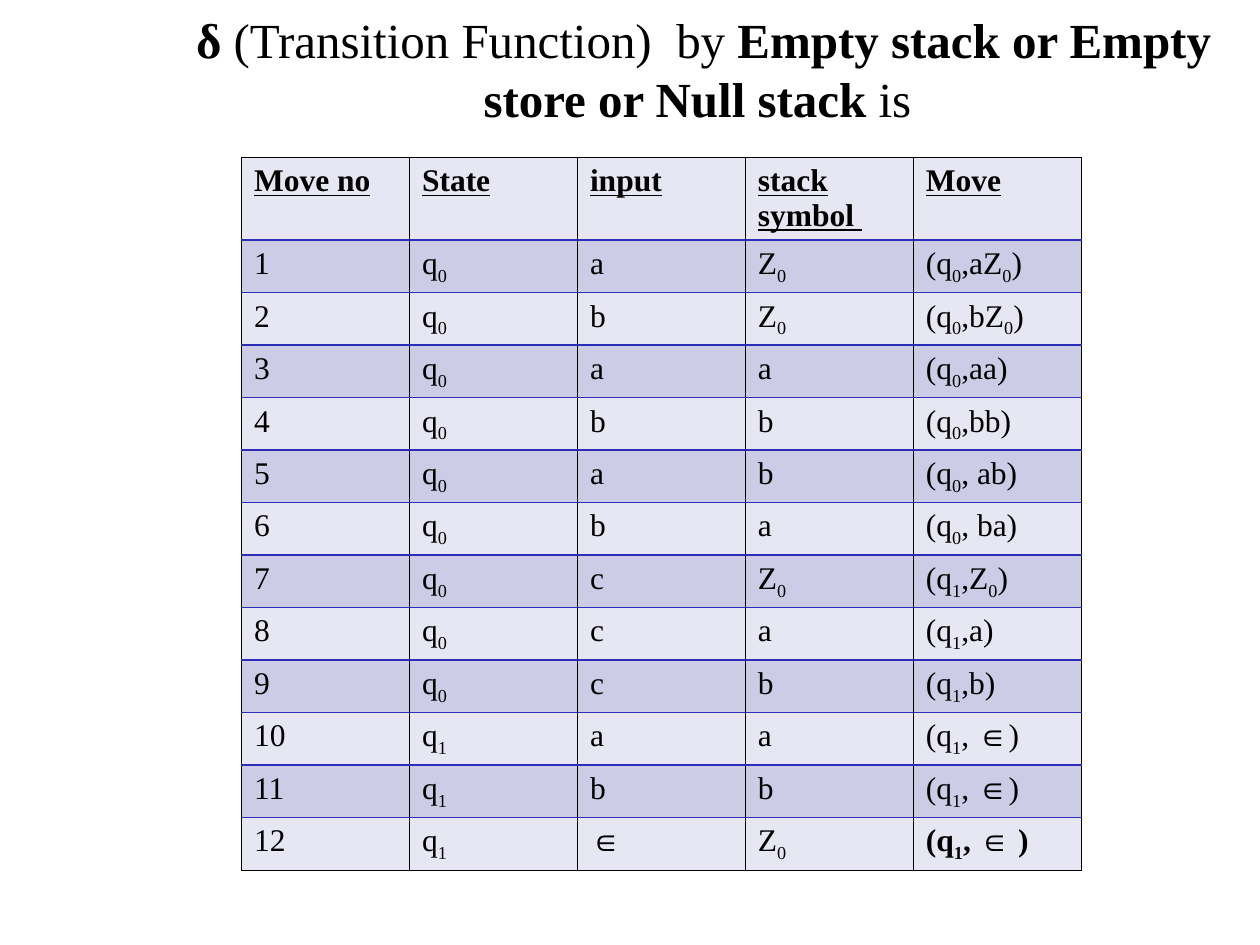
from pptx import Presentation
from pptx.dml.color import RGBColor
from pptx.enum.text import MSO_ANCHOR, MSO_AUTO_SIZE, PP_ALIGN
from pptx.oxml import parse_xml
from pptx.oxml.ns import nsdecls
from pptx.util import Pt

CENTER, MIDDLE, NO_FIT = PP_ALIGN.CENTER, MSO_ANCHOR.MIDDLE, MSO_AUTO_SIZE.NONE
PX = 9525  # EMU per px, 96 px to the inch


class Theme:
    font = "Times New Roman"
    title_size, cell_size = 28, 18
    text = RGBColor(0x00, 0x00, 0x00)
    light = RGBColor(0xE7, 0xE7, 0xF3)
    dark = RGBColor(0xCC, 0xCC, 0xE6)
    rule, edge = ("2D2DB9", 1), ("000000", 0.5)  # colour, points


def add_text(p, text, size=Theme.cell_size, underline=False):
    """Write text; *...* is bold and _x makes x a subscript."""
    for i, part in enumerate(text.split("*")):
        first, *rest = part.split("_")
        pieces = [(first, False)]
        for chunk in rest:
            pieces += [(chunk[0], True), (chunk[1:], False)]
        for piece, subscript in pieces:
            if not piece:
                continue
            r = p.add_run()
            r.text = piece
            r.font.name, r.font.size = Theme.font, Pt(size)
            r.font.color.rgb = Theme.text
            r.font.bold, r.font.underline = i % 2 == 1, underline
            if subscript:
                r.font._element.set("baseline", "-25000")


def set_borders(cell, **sides):
    tcPr = cell._tc.get_or_add_tcPr()
    for i, side in enumerate(("L", "R", "T", "B")):
        color, width = sides[side]
        tcPr.insert(i, parse_xml(
            f'<a:ln{side} {nsdecls("a")} w="{Pt(width)}"><a:solidFill>'
            f'<a:srgbClr val="{color}"/></a:solidFill></a:ln{side}>'))


prs = Presentation()
prs.slide_width, prs.slide_height = 960 * PX, 720 * PX
s = prs.slides.add_slide(prs.slide_layouts[5])

# Title
sp = s.shapes.title
sp.left, sp.top, sp.width, sp.height = 128 * PX, 16 * PX, 816 * PX, 72 * PX
tf = sp.text_frame
tf.word_wrap, tf.auto_size, tf.vertical_anchor = True, NO_FIT, MIDDLE
tf.paragraphs[0].alignment = CENTER
add_text(tf.paragraphs[0],
         "*δ* (Transition Function)  by *Empty stack or Empty store or Null stack *is ",
         size=Theme.title_size)

# Transition table: state, input, stack symbol, move
header = ["*Move no*", "*State*", "*input*", "*stack symbol *", "*Move*"]
moves = [
    ("q_0", "a", "Z_0", "(q_0,aZ_0)"),
    ("q_0", "b", "Z_0", "(q_0,bZ_0)"),
    ("q_0", "a", "a", "(q_0,aa)"),
    ("q_0", "b", "b", "(q_0,bb)"),
    ("q_0", "a", "b", "(q_0, ab)"),
    ("q_0", "b", "a", "(q_0, ba)"),
    ("q_0", "c", "Z_0", "(q_1,Z_0)"),
    ("q_0", "c", "a", "(q_1,a)"),
    ("q_0", "c", "b", "(q_1,b)"),
    ("q_1", "a", "a", "(q_1, ∈)"),
    ("q_1", "b", "b", "(q_1, ∈)"),
    ("q_1", "∈", "Z_0", "*(q_1,* ∈* )*"),
]
rows = [header] + [[str(n), *move] for n, move in enumerate(moves, 1)]
HEADER_H, ROW_H, COL_W = 63, 40, 128
table = s.shapes.add_table(
    len(rows), len(header), 184 * PX, 120 * PX,
    COL_W * len(header) * PX, (HEADER_H + ROW_H * len(moves)) * PX).table
for column in table.columns:
    column.width = COL_W * PX

for i, row in enumerate(rows):
    table.rows[i].height = (ROW_H if i else HEADER_H) * PX
    for j, text in enumerate(row):
        cell = table.cell(i, j)
        cell.fill.solid()
        cell.fill.fore_color.rgb = Theme.dark if i % 2 else Theme.light
        add_text(cell.text_frame.paragraphs[0], text, underline=i == 0)
        set_borders(cell, L=Theme.edge, R=Theme.edge,
                    T=Theme.rule if i else Theme.edge,
                    B=Theme.rule if i < len(rows) - 1 else Theme.edge)

prs.save("out.pptx")
